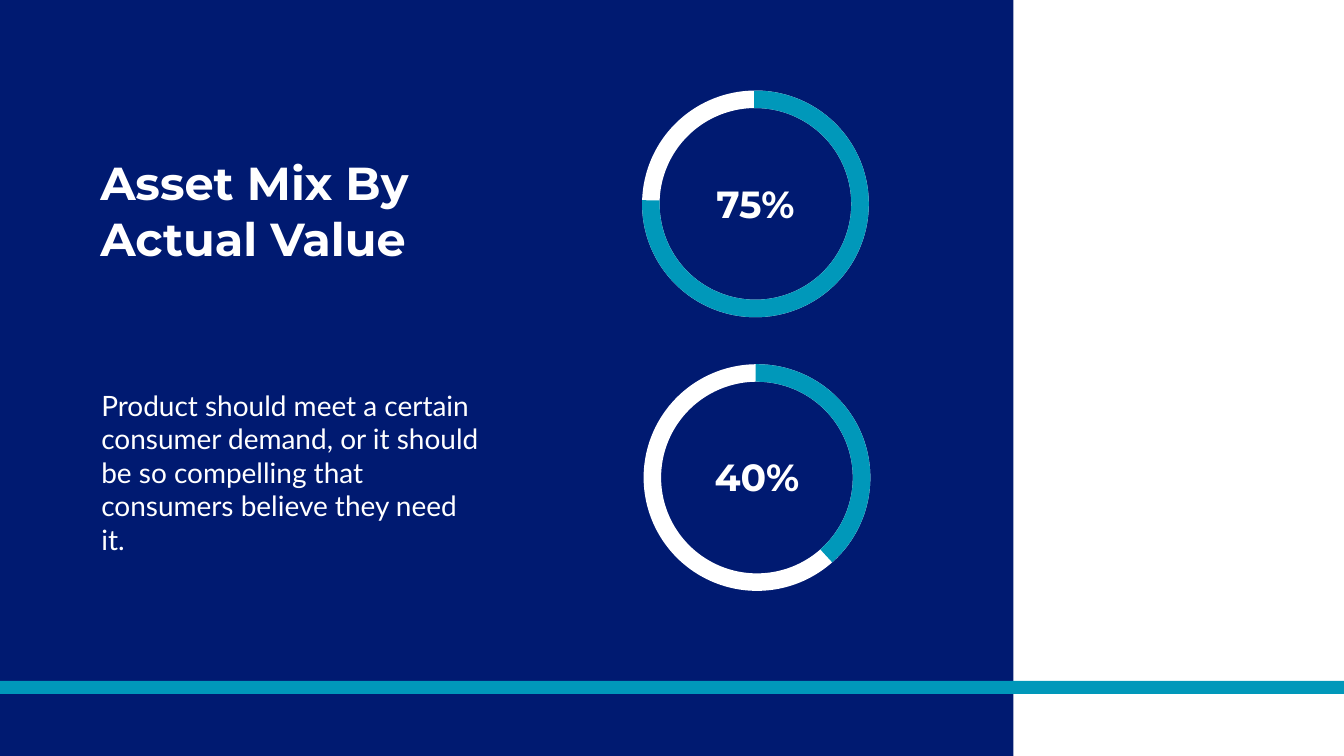
from pptx import Presentation
from pptx.dml.color import RGBColor
from pptx.enum.shapes import MSO_SHAPE as SHAPE
from pptx.enum.text import MSO_ANCHOR as ANCHOR, MSO_AUTO_SIZE as AUTO, PP_ALIGN as ALIGN
from pptx.util import Inches, Pt

COLORS = {"navy": "001A71", "teal": "0098BA", "white": "FFFFFF"}
HEAD, BODY = "Montserrat", "Lato"
RING, HOLE = 4.15, 3.62


def rgb(name):
    """Return the named colour."""
    return RGBColor.from_string(COLORS[name])


def write(tf, text, font=HEAD, size=54, bold=True, align=ALIGN.LEFT, inset=(0.1, 0.05)):
    """Fill a text frame with one formatted paragraph."""
    tf.word_wrap = True
    tf.auto_size = AUTO.SHAPE_TO_FIT_TEXT
    tf.vertical_anchor = ANCHOR.TOP
    tf.margin_left = tf.margin_right = Inches(inset[0])
    tf.margin_top = tf.margin_bottom = Inches(inset[1])
    p = tf.paragraphs[0]
    p.alignment = align
    p.line_spacing = 1.0
    p.space_before = Pt(0)
    r = p.add_run()
    r.text = text
    r.font.name, r.font.size, r.font.bold = font, Pt(size), bold
    r.font.color.rgb = rgb("white")


class Deck:
    """Holds the presentation style and the current slide."""

    def __init__(self, width, height):
        """Start a deck with one title-only slide."""
        self.prs = Presentation()
        self.prs.slide_width, self.prs.slide_height = Inches(width), Inches(height)
        self.s = self.prs.slides.add_slide(self.prs.slide_layouts[5])

    def title(self, text, box, **fmt):
        """Place and format the title placeholder."""
        sp = self.s.shapes.title
        sp.left, sp.top, sp.width, sp.height = map(Inches, box)
        write(sp.text_frame, text, **fmt)
        return sp

    def text(self, text, box, **fmt):
        """Add a text box."""
        sp = self.s.shapes.add_textbox(*map(Inches, box))
        write(sp.text_frame, text, **fmt)

    def shape(self, kind, box, fill=None, line=None, weight=25):
        """Add a preset shape with optional fill and outline."""
        sp = self.s.shapes.add_shape(kind, *map(Inches, box))
        sp.shadow.inherit = False
        if fill:
            sp.fill.solid()
            sp.fill.fore_color.rgb = rgb(fill)
        else:
            sp.fill.background()
        if line:
            sp.line.color.rgb = rgb(line)
            sp.line.width = Pt(weight)
        else:
            sp.line.fill.background()
        return sp

    def gauge(self, label, left, top, end):
        """Add a ring whose teal arc runs from the top to the end angle."""
        box = (left, top, RING, RING)
        self.shape(SHAPE.OVAL, box, fill="navy", line="white")
        arc = self.shape(SHAPE.ARC, box, line="teal")
        for i, degrees in enumerate((269.26, end)):
            arc.adjustments[i] = degrees * 0.6
        self.shape(SHAPE.OVAL, (left + 0.29, top + 0.27, HOLE, HOLE), fill="navy")
        self.text(label, (left + 0.73, top + 1.56, 2.69, 1.01), align=ALIGN.CENTER)


def main():
    """Build the asset mix slide."""
    deck = Deck(26.66, 15)
    panel = deck.shape(SHAPE.RECTANGLE, (0, 0, 20.1, 15), fill="navy")
    title = deck.title("Asset Mix By Actual Value", (1.89, 3.02, 8.01, 2.32), size=66)
    title.element.addprevious(panel.element)
    deck.text("Product should meet a certain consumer demand, or it should be so "
              "compelling that consumers believe they need it.",
              (1.77, 7.58, 8.13, 2.93), font=BODY, size=40, bold=False, inset=(0.24, 0.12))
    deck.shape(SHAPE.RECTANGLE, (0, 13.51, 26.66, 0.26), fill="teal")
    for gauge in (("75%", 12.91, 1.97, 181.94), ("40%", 12.94, 7.4, 48.5)):
        deck.gauge(*gauge)
    deck.prs.save("out.pptx")


main()
